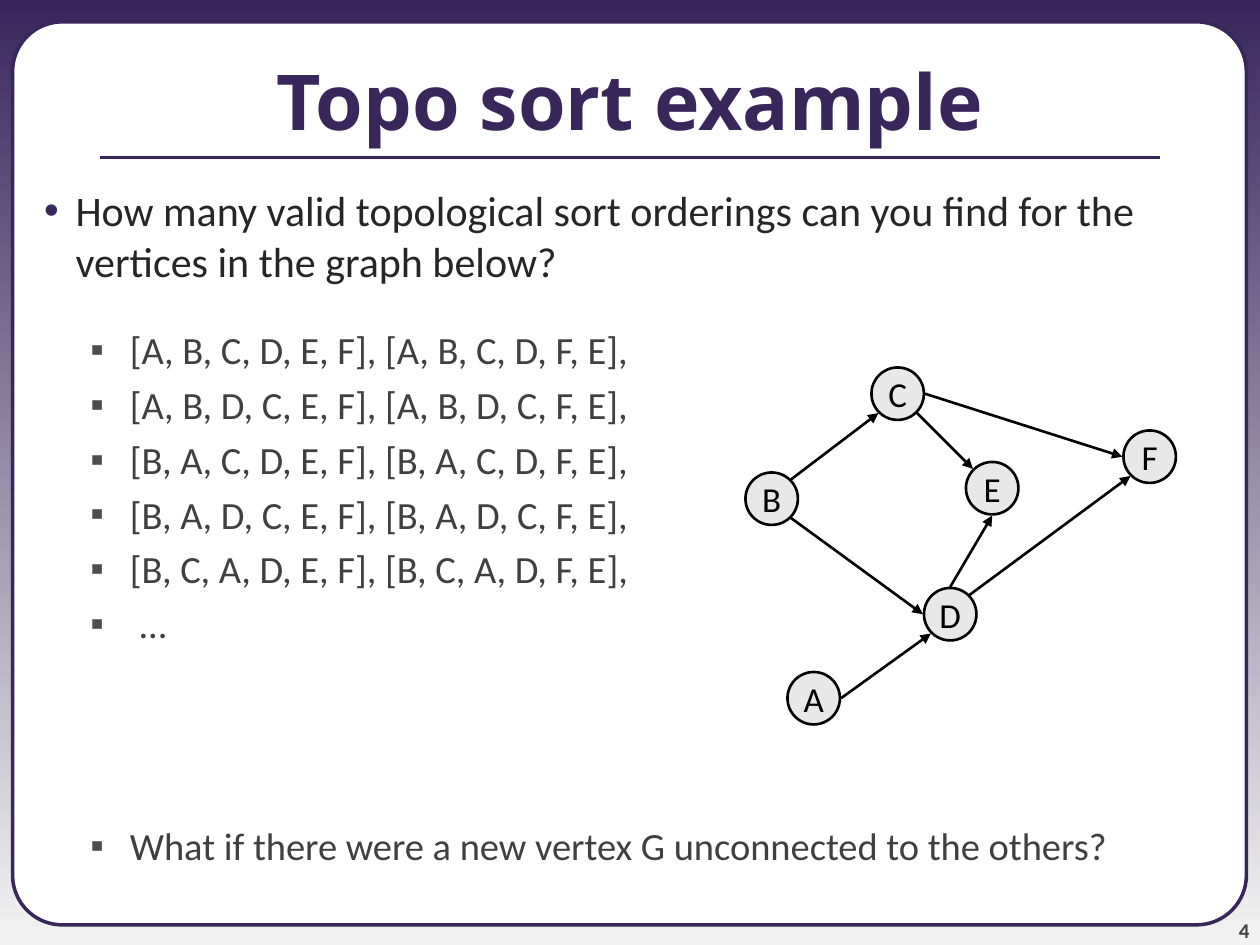
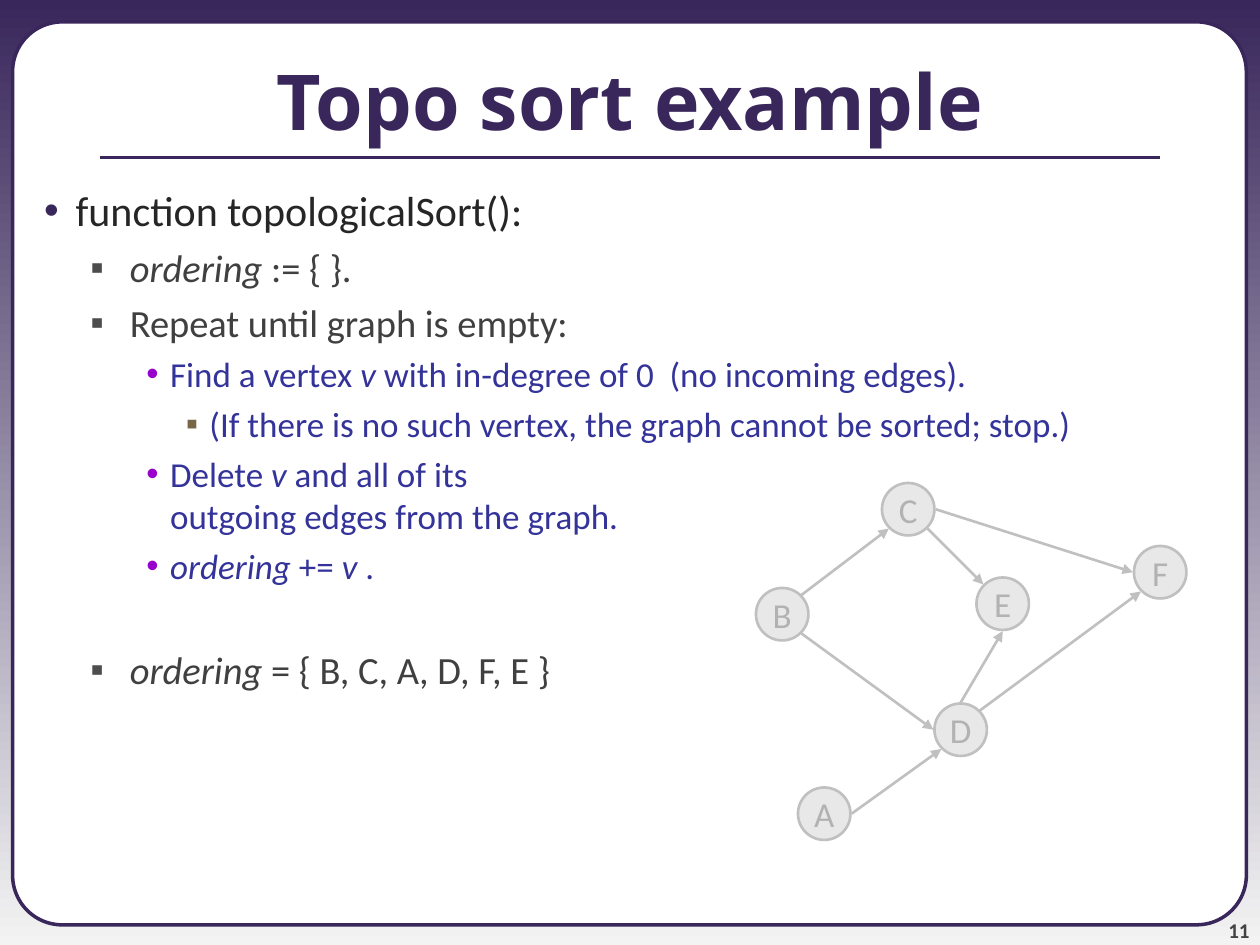
"""Build two slides on topological sorting of a small directed graph."""
import math
from dataclasses import dataclass

import lxml.etree
import pptx
import pptx.dml.color
import pptx.enum.shapes
import pptx.enum.text
import pptx.oxml.ns
import pptx.util
from pptx.util import Pt

PURPLE = "39275B"
HEADING_FONT = "Noto Sans"
TEXT_FONT = "Calibri"
TITLE = "Topo sort example"
NODE_SIZE = 30
NODE_CLEARANCE = 0.6
LINE_WIDTH = 1.5


@dataclass(frozen=True)
class Level:
    size: float
    color: str
    bullet: str
    bullet_color: str
    margin: float
    hanging: float
    before: float


@dataclass(frozen=True)
class Item:
    level: int
    text: str
    before: float | None = None


@dataclass(frozen=True)
class Edge:
    start: str
    start_angle: float
    end: str
    end_angle: float


@dataclass(frozen=True)
class GraphStyle:
    line: str
    label: str


@dataclass(frozen=True)
class Page:
    number: int
    items: list[Item]
    shift: tuple[float, float]
    style: GraphStyle


LEVELS = [
    Level(24, "262626", "•", PURPLE, 36, 18, 6),
    Level(22, "404040", "▪", "4D4D4D", 67, 22.5, 5),
    Level(20, "333399", "•", "9900CC", 90, 13.5, 4.5),
    Level(20, "333399", "▪", "796646", 112.5, 13.5, 4.5),
]

NODES = {
    "A": (450, 384),
    "B": (426, 270),
    "C": (498, 210),
    "D": (528, 336),
    "E": (552, 264),
    "F": (642, 246),
}

EDGES = [
    Edge("B", -45, "C", 135),
    Edge("C", 0, "F", 180),
    Edge("B", 45, "D", 180),
    Edge("D", -45, "F", 135),
    Edge("A", 0, "D", 135),
    Edge("C", 45, "E", -135),
    Edge("D", -90, "E", 90),
]

PAGES = [
    Page(4, [
        Item(0, "How many valid topological sort orderings can you find for the "
                "vertices in the graph below?"),
        Item(1, "[A, B, C, D, E, F], [A, B, C, D, F, E],", 23),
        Item(1, "[A, B, D, C, E, F], [A, B, D, C, F, E],"),
        Item(1, "[B, A, C, D, E, F], [B, A, C, D, F, E],"),
        Item(1, "[B, A, D, C, E, F], [B, A, D, C, F, E],"),
        Item(1, "[B, C, A, D, E, F], [B, C, A, D, F, E],"),
        Item(1, " ..."),
        Item(1, "What if there were a new vertex G unconnected to the others?", 100.5),
    ], (0, 0), GraphStyle("000000", "000000")),
    Page(11, [
        Item(0, "function topologicalSort():"),
        Item(1, "*ordering* := { }."),
        Item(1, "Repeat until graph is empty:"),
        Item(2, "Find a vertex *v* with in-degree of 0  (no incoming edges)."),
        Item(3, "(If there is no such vertex, the graph cannot be sorted; stop.)"),
        Item(2, "Delete *v* and all of its\noutgoing edges from the graph."),
        Item(2, "*ordering* += *v* ."),
        Item(1, "*ordering* = { B, C, A, D, F, E }", 34),
    ], (6, 66), GraphStyle("C0C0C0", "B2B2B2")),
]


def rgb(color: str) -> pptx.dml.color.RGBColor:
    """Turn a hex string into a colour."""
    return pptx.dml.color.RGBColor.from_string(color)


def add_child(parent, tag: str, **attributes: str):
    """Append an XML element with the given attributes."""
    child = lxml.etree.SubElement(parent, pptx.oxml.ns.qn(tag))
    for name, value in attributes.items():
        child.set(name, value)
    return child


def place(shape, left: float, top: float, width: float, height: float) -> None:
    """Set the position and size of a shape."""
    shape.left, shape.top = Pt(left), Pt(top)
    shape.width, shape.height = Pt(width), Pt(height)


def add_run(para, text: str, size: float, color: str, font: str = TEXT_FONT,
            bold: bool = False, italic: bool = False) -> None:
    """Add one formatted run to a paragraph."""
    span = para.add_run()
    span.text = text
    span.font.name, span.font.size = font, Pt(size)
    span.font.bold, span.font.italic = bold, italic
    span.font.color.rgb = rgb(color)


def add_line(shapes, start: tuple[float, float], end: tuple[float, float],
             color: str, width: float, arrow: bool = False):
    """Draw a straight line, with an arrowhead if wanted."""
    line = shapes.add_connector(pptx.enum.shapes.MSO_CONNECTOR.STRAIGHT,
                                *(Pt(value) for value in (*start, *end)))
    line.line.color.rgb = rgb(color)
    line.line.width = Pt(width)
    properties = line.element.spPr
    if arrow:
        add_child(properties.find(pptx.oxml.ns.qn("a:ln")), "a:tailEnd", type="triangle")
    add_child(properties, "a:effectLst")
    return line


def add_outlined(shapes, kind, left: float, top: float, width: float, height: float,
                 fill: str, color: str, line_width: float):
    """Draw a filled and outlined preset shape."""
    shape = shapes.add_shape(kind, Pt(left), Pt(top), Pt(width), Pt(height))
    shape.shadow.inherit = False
    shape.fill.solid()
    shape.fill.fore_color.rgb = rgb(fill)
    shape.line.color.rgb = rgb(color)
    shape.line.width = Pt(line_width)
    return shape


def set_background(master) -> None:
    """Give the master a vertical gradient."""
    fill = master.background.fill
    fill.gradient()
    fill.gradient_angle = 270
    for stop, color in zip(fill.gradient_stops, (PURPLE, "F3F3F3")):
        stop.color.rgb = rgb(color)


def decorate_layout(layout, slide) -> None:
    """Draw the frame and title rule and move them to the layout."""
    frame = add_outlined(slide.shapes, pptx.enum.shapes.MSO_SHAPE.ROUNDED_RECTANGLE,
                         7.2, 12.5, 705, 516, "FFFFFF", PURPLE, 2)
    frame.adjustments[0] = 0.055
    rule = add_line(slide.shapes, (57, 90), (663, 90), PURPLE, 2.25)
    tree = layout.placeholders[0].element.getparent()
    for index, shape in enumerate((frame, rule)):
        shape.element.xpath(".//p:cNvPr")[0].set("id", str(100 + index))
        tree.insert(2 + index, shape.element)


def fill_title(title) -> None:
    """Place and fill the title."""
    place(title, 0, 12, 720, 90)
    frame = title.text_frame
    frame.auto_size = pptx.enum.text.MSO_AUTO_SIZE.NONE
    frame.vertical_anchor = pptx.enum.text.MSO_ANCHOR.MIDDLE
    para = frame.paragraphs[0]
    para.alignment = pptx.enum.text.PP_ALIGN.CENTER
    add_run(para, TITLE, 44, PURPLE, HEADING_FONT, bold=True)


def add_item(para, item: Item, first: bool) -> None:
    """Write a bulleted item; asterisks enclose italic words."""
    level = LEVELS[item.level]
    para.level = item.level
    properties = para._p.get_or_add_pPr()
    properties.set("marL", str(Pt(level.margin)))
    properties.set("indent", str(-Pt(level.hanging)))
    bullet_color = add_child(properties, "a:buClr")
    add_child(bullet_color, "a:srgbClr", val=level.bullet_color)
    add_child(properties, "a:buChar", char=level.bullet)
    before = level.before if item.before is None else item.before
    para.space_before = Pt(0 if first else before)
    for index, part in enumerate(item.text.split("*")):
        for line_index, line in enumerate(part.split("\n")):
            if line_index:
                para.add_line_break()
            if line:
                add_run(para, line, level.size, level.color, italic=index % 2 == 1)


def fill_body(body, items: list[Item]) -> None:
    """Place and fill the list."""
    place(body, 0, 102, 720, 438)
    frame = body.text_frame
    frame.auto_size = pptx.enum.text.MSO_AUTO_SIZE.NONE
    for index, item in enumerate(items):
        para = frame.add_paragraph() if index else frame.paragraphs[0]
        add_item(para, item, index == 0)


def add_page_number(slide, number: int) -> None:
    """Write the page number in the lower right corner."""
    box = slide.shapes.add_textbox(Pt(654), Pt(510), Pt(60), Pt(28.5))
    frame = box.text_frame
    frame.word_wrap = True
    frame.vertical_anchor = pptx.enum.text.MSO_ANCHOR.BOTTOM
    frame.margin_left = frame.margin_right = frame.margin_top = frame.margin_bottom = 0
    para = frame.paragraphs[0]
    para.alignment = pptx.enum.text.PP_ALIGN.RIGHT
    add_run(para, str(number), 12, "424242", bold=True)


def rim_point(name: str, angle: float, shift: tuple[float, float]) -> tuple[float, float]:
    """Find the point on a node's rim at an angle, clockwise from the right."""
    radius = NODE_SIZE / 2 + NODE_CLEARANCE
    turn = math.radians(angle)
    left, top = NODES[name]
    return (left + shift[0] + NODE_SIZE / 2 + radius * math.cos(turn),
            top + shift[1] + NODE_SIZE / 2 + radius * math.sin(turn))


def add_graph(slide, shift: tuple[float, float], style: GraphStyle) -> None:
    """Draw the graph as one group."""
    shapes = slide.shapes.add_group_shape().shapes
    for name, (left, top) in NODES.items():
        node = add_outlined(shapes, pptx.enum.shapes.MSO_SHAPE.OVAL,
                            left + shift[0], top + shift[1], NODE_SIZE, NODE_SIZE,
                            "E8E8E8", style.line, LINE_WIDTH)
        node.text_frame.word_wrap = False
        node.text_frame.vertical_anchor = pptx.enum.text.MSO_ANCHOR.MIDDLE
        para = node.text_frame.paragraphs[0]
        para.alignment = pptx.enum.text.PP_ALIGN.CENTER
        add_run(para, name, 20, style.label)
    for edge in EDGES:
        add_line(shapes, rim_point(edge.start, edge.start_angle, shift),
                 rim_point(edge.end, edge.end_angle, shift),
                 style.line, LINE_WIDTH, arrow=True)


def main() -> None:
    """Build and save the deck."""
    deck = pptx.Presentation()
    deck.slide_width, deck.slide_height = Pt(720), Pt(540)
    set_background(deck.slide_master)
    layout = deck.slide_layouts[1]
    for index, page in enumerate(PAGES):
        slide = deck.slides.add_slide(layout)
        if index == 0:
            decorate_layout(layout, slide)
        fill_title(slide.shapes.title)
        fill_body(slide.placeholders[1], page.items)
        add_page_number(slide, page.number)
        add_graph(slide, page.shift, page.style)
    deck.save("out.pptx")


if __name__ == "__main__":
    main()
